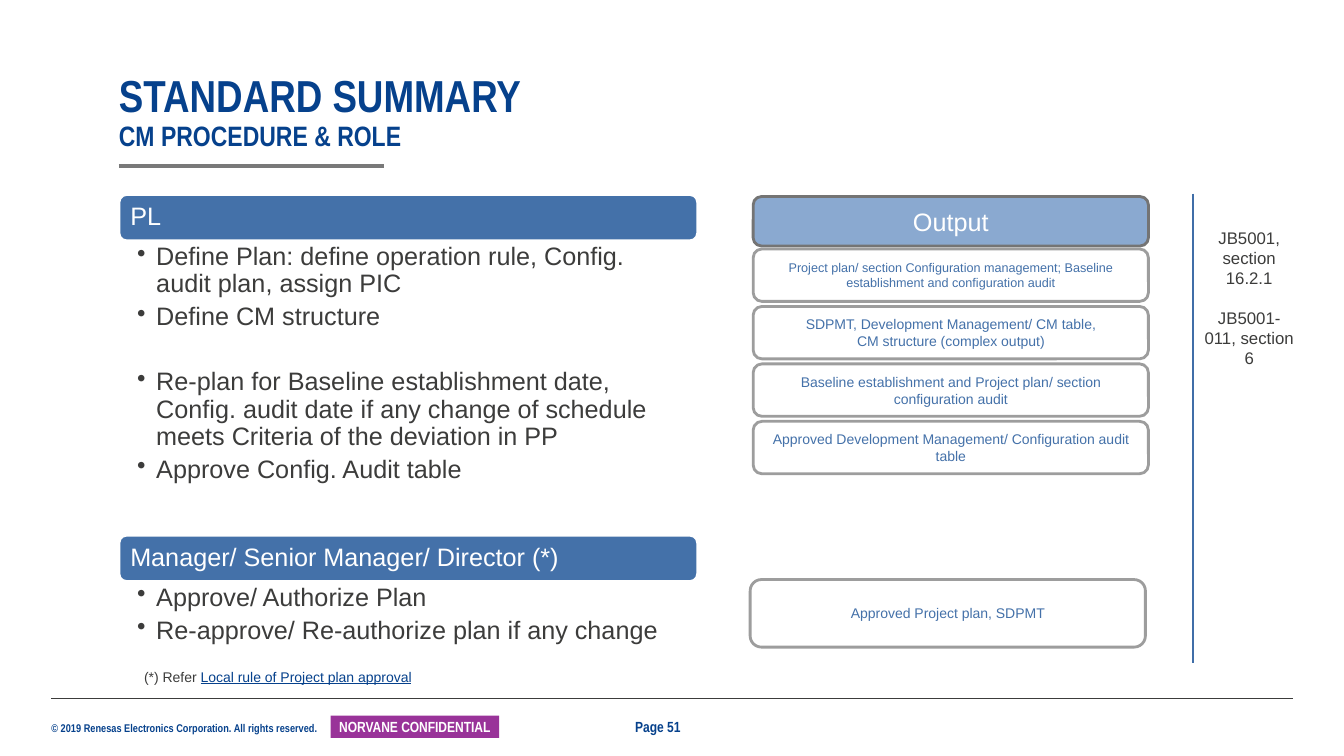
import pptx
import pptx.util
import pptx.dml.color
import pptx.enum.shapes
import pptx.enum.text
import lxml.etree

# Content
TITLE = ("STANDARD SUMMARY", "CM PROCEDURE & ROLE")
# Each duty: text and space after it in points
ROLES = [
    {"name": "PL", "top": 193, "height": 292, "duties": [
        ("Define Plan: define operation rule, Config. audit plan, assign PIC", 4),
        ("Define CM structure", 27),
        ("Re-plan for Baseline establishment date, Config. audit date if any change "
         "of schedule meets Criteria of the deviation in PP", 4),
        ("Approve Config. Audit table", 4)]},
    {"name": "Manager/ Senior Manager/ Director (*)", "top": 531, "height": 63, "duties": [
        ("Approve/ Authorize Plan", 4),
        ("Re-approve/ Re-authorize plan if any change", 4)]},
]
# Each output: lines and text size
PL_OUTPUTS = [
    (["Project plan/ section Configuration management; Baseline establishment "
      "and configuration audit"], 9),
    (["SDPMT, Development Management/ CM table,", "CM structure (complex output)"], 10),
    (["Baseline establishment and Project plan/ section configuration audit"], 10),
    (["Approved Development Management/ Configuration audit table"], 10),
]
MANAGER_OUTPUT = "Approved Project plan, SDPMT"
REFERENCES = ["JB5001, section 16.2.1", "JB5001-011, section 6"]
FOOTNOTE = ("(*) Refer ", "Local rule of Project plan approval")
COPYRIGHT = "© 2019 Renesas Electronics Corporation. All rights reserved."
CONFIDENTIAL = "NORVANE CONFIDENTIAL"
PAGE_NUMBER = "Page 51"

COLORS = {"navy": "06418C", "blue": "4471A9", "light": "8AA9D0", "rule": "406EA8",
          "text": "3C3C3B", "white": "FFFFFF", "purple": "993399",
          "bar": "797979", "edge": "9D9D9D", "head edge": "747474"}

# Geometry in px
PX = 9144
LEFT, ROLE_WIDTH, BAR_HEIGHT = 118, 574, 46
OUTPUT_LEFT, OUTPUT_WIDTH = 747, 392
CARD_TOP, CARD_HEIGHT, CARD_PITCH = 247, 52, 57
INSETS = (10, 5, 10, 5)
CENTER = pptx.enum.text.PP_ALIGN.CENTER
MIDDLE = pptx.enum.text.MSO_ANCHOR.MIDDLE
SHAPES = pptx.enum.shapes.MSO_SHAPE

deck = pptx.Presentation()
deck.slide_width, deck.slide_height = 1333 * PX, 750 * PX
page = deck.slides.add_slide(deck.slide_layouts[6])


def rgb(name):
    return pptx.dml.color.RGBColor.from_string(COLORS[name])


def apply(target, values):
    for name, value in values.items():
        setattr(target, name, value)


def style(size, color, face="Arial", **extra):
    return {"size": pptx.util.Pt(size), "color": color, "name": face, **extra}


def heading(size, color="navy"):
    return style(size, color, "Arial Narrow", bold=True)


def set_font(font, look):
    apply(font, {name: value for name, value in look.items() if name != "color"})
    font.color.rgb = rgb(look["color"])


def add_span(para, text, look):
    span = para.add_run()
    span.text = text
    set_font(span.font, look)


def write(box, lines, look, insets=INSETS, anchor=None, **para_values):
    """Fill a box with one paragraph per line and return the paragraphs."""
    frame = box.text_frame
    sides = ("margin_left", "margin_top", "margin_right", "margin_bottom")
    apply(frame, {side: inset * PX for side, inset in zip(sides, insets)})
    apply(frame, {"word_wrap": True,
                  "vertical_anchor": anchor or pptx.enum.text.MSO_ANCHOR.TOP})
    for number, line in enumerate(lines):
        para = frame.add_paragraph() if number else frame.paragraphs[0]
        apply(para, para_values)
        add_span(para, line, look)
    return frame.paragraphs


def add_box(*place):
    return page.shapes.add_textbox(*(length * PX for length in place))


def add_panel(kind, place, fill, edge=None):
    panel = page.shapes.add_shape(kind, *(length * PX for length in place))
    panel.shadow.inherit = False
    panel.fill.solid()
    panel.fill.fore_color.rgb = rgb(fill)
    if edge:
        panel.line.color.rgb = rgb(edge)
        panel.line.width = pptx.util.Pt(2)
    else:
        panel.line.fill.background()
    return panel


def add_rule(ends, color, width):
    rule = page.shapes.add_connector(pptx.enum.shapes.MSO_CONNECTOR.STRAIGHT,
                                     *(length * PX for length in ends))
    rule.line.color.rgb = rgb(color)
    rule.line.width = pptx.util.Pt(width)
    lxml.etree.SubElement(rule._element.spPr, pptx.oxml.ns.qn("a:effectLst"))


def add_bullet(para):
    properties = para._p.get_or_add_pPr()
    apply_indent = {"marL": 19 * PX, "indent": -19 * PX}
    for name, value in apply_indent.items():
        properties.set(name, str(value))
    bullet = lxml.etree.SubElement(properties, pptx.oxml.ns.qn("a:buChar"))
    bullet.set("char", "•")


def add_card(place, lines, size):
    card = add_panel(SHAPES.ROUNDED_RECTANGLE, place, "white", "edge")
    write(card, lines, style(size, "blue"), anchor=MIDDLE, alignment=CENTER)


# Footer
write(add_box(51, 716, 275, 13), [COPYRIGHT], heading(8), (0, 0, 0, 0))
add_rule((51, 693, 1282, 693), "text", 0.5)
write(add_panel(SHAPES.RECTANGLE, (328, 710, 167, 22), "purple"), [CONFIDENTIAL],
      heading(10.5, "white"), (4, 0, 4, 0), MIDDLE, alignment=CENTER)
write(add_box(630, 712, 73, 18), [PAGE_NUMBER], heading(10.5), (0, 0, 0, 0), MIDDLE)

# Title
add_rule((LEFT, 165, 381, 165), "bar", 3)
title = write(add_box(LEFT, 72, 984, 79), TITLE[:1], heading(32), (0, 0, 0, 0),
              pptx.enum.text.MSO_ANCHOR.BOTTOM, line_spacing=0.9)[0]
title.add_line_break()
add_span(title, TITLE[1], heading(20))

# Roles and their duties
for role in ROLES:
    bar = add_panel(SHAPES.ROUNDED_RECTANGLE, (LEFT, role["top"], ROLE_WIDTH, BAR_HEIGHT),
                    "blue", "white")
    write(bar, [role["name"]], style(18, "white"), (9, 7, 9, 7), MIDDLE,
          line_spacing=0.9, alignment=pptx.enum.text.PP_ALIGN.LEFT)
    duties = add_box(LEFT, role["top"] + BAR_HEIGHT, ROLE_WIDTH, role["height"])
    paras = write(duties, [text for text, gap in role["duties"]], style(18, "text"),
                  (18, 3, 14, 3), line_spacing=0.9)
    for para, (text, gap) in zip(paras, role["duties"]):
        para.space_after = pptx.util.Pt(gap)
        add_bullet(para)

# Outputs
header = add_panel(SHAPES.ROUNDED_RECTANGLE, (OUTPUT_LEFT, 195, OUTPUT_WIDTH, 49),
                   "light", "head edge")
write(header, ["Output"], style(18, "white"), anchor=MIDDLE, alignment=CENTER)
for row, (lines, size) in enumerate(PL_OUTPUTS):
    add_card((OUTPUT_LEFT, CARD_TOP + row * CARD_PITCH, OUTPUT_WIDTH, CARD_HEIGHT),
             lines, size)
add_card((744, 575, OUTPUT_WIDTH, 67), [MANAGER_OUTPUT], 10)

# References
add_rule((1183, 192, 1183, 658), "rule", 1.5)
references = write(add_box(1183, 221, 112, 151), REFERENCES, style(12, "text"),
                   alignment=CENTER)
references[1].space_before = pptx.util.Pt(14)

# Footnote
note = write(add_box(133, 658, 592, 27), FOOTNOTE[:1], style(10, "text"))[0]
add_span(note, FOOTNOTE[1], style(10, "navy", underline=True))

deck.save("out.pptx")
